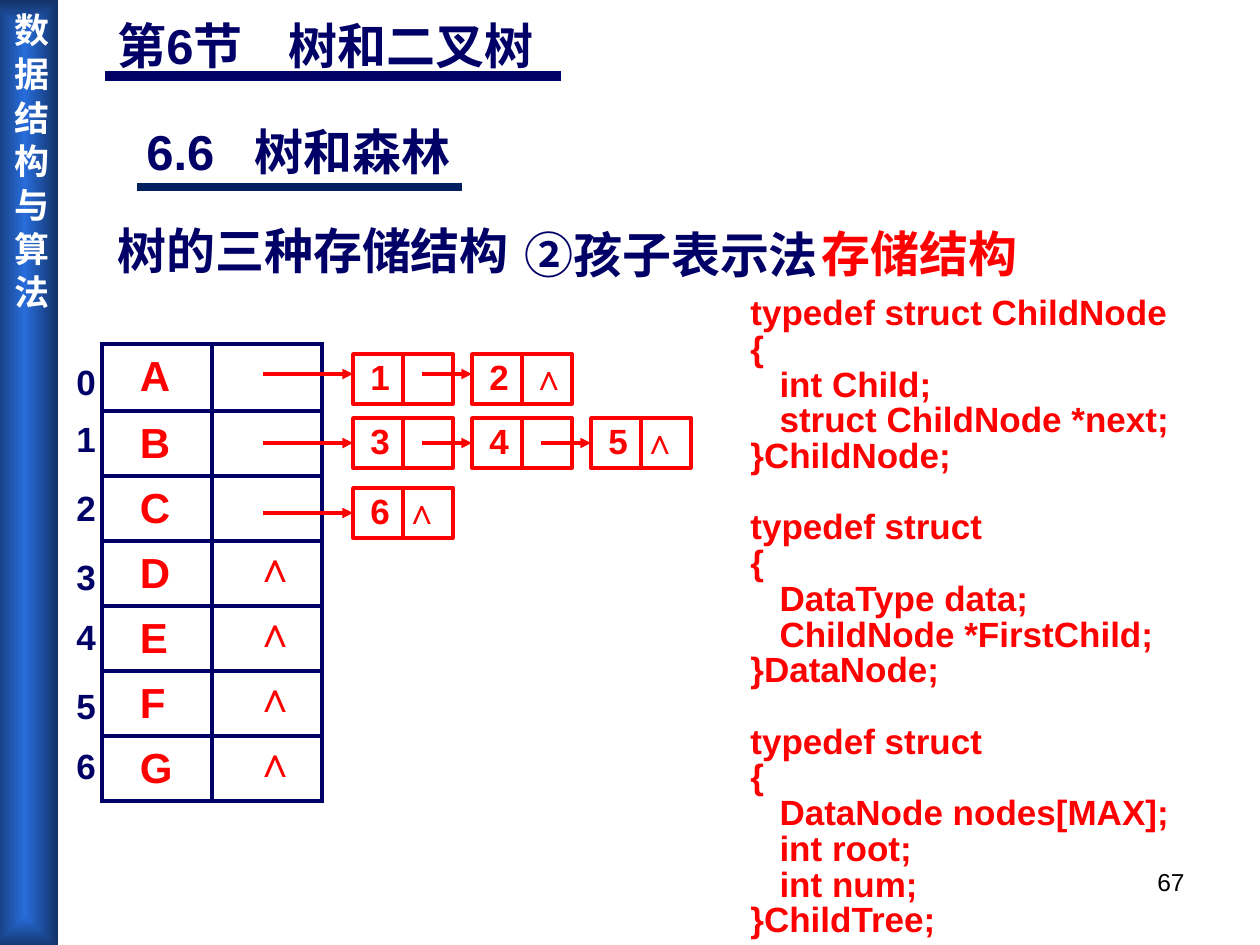
from lxml.etree import SubElement
from pptx import Presentation
from pptx.dml.color import RGBColor
from pptx.enum.shapes import MSO_CONNECTOR, MSO_SHAPE
from pptx.enum.text import PP_ALIGN
from pptx.oxml.ns import qn
from pptx.util import Emu, Pt

NAVY = RGBColor(0x00, 0x00, 0x66)
DARK_BLUE = RGBColor(0x00, 0x20, 0x60)
RED = RGBColor(0xFF, 0x00, 0x00)
BLACK = RGBColor(0x00, 0x00, 0x00)
WHITE = RGBColor(0xFF, 0xFF, 0xFF)
BAR_CENTRE = RGBColor(0x28, 0x6D, 0xDC)
BAR_EDGE = RGBColor(0x13, 0x32, 0x66)
LATIN, CJK = "Arial", "Noto Sans CJK SC"
NIL = "∧"

# text, left, top, width, height, colour, line spacing, tab stop
HEADINGS = [
    ("第6节\t树和二叉树", 105, 9, 466, 72, NAVY, 1.0, 171),
    ("6.6\t树和森林", 134, 115, 349, 72, NAVY, 1.0, 108),
    ("树的三种存储结构", 105, 214, 437, 72, NAVY, 1.0, None),
    ("②孩子表示法", 512, 204, 328, 87, NAVY, 1.25, None),
    ("存储结构", 809, 217, 230, 72, RED, 1.0, None),
]
STRUCTS = [
    ["typedef struct ChildNode", "{", "   int Child;",
     "   struct ChildNode *next;", "}ChildNode;"],
    ["typedef struct", "{", "   DataType data;",
     "   ChildNode *FirstChild;", "}DataNode;"],
    ["typedef struct", "{", "   DataNode nodes[MAX];",
     "   int root;", "   int num;", "}ChildTree;"],
]
CODE_PITCH = Pt(20.4)
NODES = "ABCDEFG"
LEAVES = "DEFG"
INDEX_TOPS = [354, 411, 480, 549, 609, 678, 738]
ARRAY_LEFT, ARRAY_TOP, COLUMN_W = 102, 344, 110
ROW_HEIGHTS = [67] + [65] * 6
# children, box top, arrow height, offset of the nil mark in the last box
CHAINS = [("12", 354, 374, 47), ("345", 418, 443, 39), ("6", 488, 513, 39)]
CHAIN_LEFT, CHAIN_STEP, BOX_W, BOX_H = 353, 119, 100, 50
POINTER_LEFT, POINTER_OFFSET = 263, 69


def px(length):
    return Emu(round(length * 914400 / 126))


def add_run(paragraph, text, size, color, bold=True, latin=LATIN):
    run = paragraph.add_run()
    run.text = text
    run.font.size = Pt(size)
    run.font.bold = bold
    run.font.color.rgb = color
    run.font.name = latin
    SubElement(run.font._element, qn("a:ea")).set("typeface", CJK)


def add_text_frame(slide, left, top, width, height):
    box = slide.shapes.add_textbox(px(left), px(top), px(width), px(height))
    box.text_frame.word_wrap = True
    return box.text_frame


def add_label(slide, text, left, top, width, height, size, color):
    frame = add_text_frame(slide, left, top, width, height)
    add_run(frame.paragraphs[0], text, size, color)


def add_line(slide, x1, y1, x2, y2, color, weight, arrow=False):
    line = slide.shapes.add_connector(
        MSO_CONNECTOR.STRAIGHT, px(x1), px(y1), px(x2), px(y2))
    line.line.color.rgb = color
    line.line.width = Pt(weight)
    if arrow:
        SubElement(line.line._get_or_add_ln(), qn("a:tailEnd")).set("type", "triangle")
    SubElement(line._element.spPr, qn("a:effectLst"))
    return line


def add_sidebar(slide):
    bar = slide.shapes.add_shape(MSO_SHAPE.RECTANGLE, px(-9), 0, px(67), px(949))
    bar.shadow.inherit = False
    bar.line.fill.background()
    bar.fill.gradient()
    for stop, color in zip(bar.fill.gradient_stops, (BAR_CENTRE, BAR_EDGE)):
        stop.color.rgb = color
    gradient = bar._element.spPr.find(qn("a:gradFill"))
    gradient.remove(gradient.find(qn("a:lin")))
    shade = SubElement(gradient, qn("a:path"), {"path": "rect"})
    SubElement(shade, qn("a:fillToRect"), dict.fromkeys("ltrb", "50000"))
    frame = bar.text_frame
    frame.margin_left = frame.margin_right = px(6)
    frame.margin_top = frame.margin_bottom = px(13)
    body = frame._txBody.bodyPr
    body.set("vert", "eaVert")
    body.set("anchor", "t")
    frame.paragraphs[0].alignment = PP_ALIGN.CENTER
    add_run(frame.paragraphs[0], "数 据 结 构 与 算 法", 20, WHITE, latin=CJK)


def add_heading(slide, text, left, top, width, height, color, spacing, tab):
    paragraph = add_text_frame(slide, left, top, width, height).paragraphs[0]
    paragraph.line_spacing = spacing
    if tab:
        tabs = SubElement(paragraph._p.get_or_add_pPr(), qn("a:tabLst"))
        SubElement(tabs, qn("a:tab"), {"pos": str(px(tab)), "algn": "l"})
    add_run(paragraph, text, 28, color)


def add_code(slide):
    frame = add_text_frame(slide, 738, 291, 460, 655)
    paragraph = None
    for struct in STRUCTS:
        for number, code in enumerate(struct):
            if paragraph is None:
                paragraph = frame.paragraphs[0]
            else:
                paragraph = frame.add_paragraph()
                if number == 0:
                    paragraph.space_before = CODE_PITCH
            paragraph.line_spacing = 0.85
            add_run(paragraph, code, 20, RED)


def style_cell(cell, text, margin_left, margin_top):
    cell.fill.background()
    cell.margin_left, cell.margin_top = px(margin_left), px(margin_top)
    cell.margin_right = cell.margin_bottom = 0
    if text:
        add_run(cell.text_frame.paragraphs[0], text, 24, RED)
    properties = cell._tc.get_or_add_tcPr()
    for position, side in enumerate(("a:lnL", "a:lnR", "a:lnT", "a:lnB")):
        border = properties.makeelement(qn(side), {"w": str(Pt(2.25))})
        fill = SubElement(border, qn("a:solidFill"))
        SubElement(fill, qn("a:srgbClr")).set("val", str(NAVY))
        properties.insert(position, border)


def add_node_array(slide):
    table = slide.shapes.add_table(
        len(NODES), 2, px(ARRAY_LEFT), px(ARRAY_TOP),
        px(2 * COLUMN_W), px(sum(ROW_HEIGHTS))).table
    table.first_row = table.horz_banding = False
    for column in table.columns:
        column.width = px(COLUMN_W)
    for row, height, node in zip(table.rows, ROW_HEIGHTS, NODES):
        row.height = px(height)
        style_cell(row.cells[0], node, 38, 10)
        style_cell(row.cells[1], NIL if node in LEAVES else "", 43, 4)
    for index, top in enumerate(INDEX_TOPS):
        add_label(slide, str(index), 64, top, 44, 55, 20, NAVY)


def add_chain(slide, children, top, arrow_y, nil_offset):
    start = POINTER_LEFT
    for position, child in enumerate(children):
        left = CHAIN_LEFT + position * CHAIN_STEP
        box = slide.shapes.add_shape(
            MSO_SHAPE.RECTANGLE, px(left), px(top), px(BOX_W), px(BOX_H))
        box.shadow.inherit = False
        box.fill.background()
        box.line.color.rgb = RED
        box.line.width = Pt(2)
        middle = left + BOX_W // 2
        add_line(slide, middle, top, middle, top + BOX_H, RED, 2)
        add_label(slide, child, left + 5, top - 5, 44, 55, 20, RED)
        pointer = add_line(slide, start, arrow_y, left, arrow_y, RED, 2, arrow=True)
        if arrow_y == top + BOX_H // 2:
            pointer.end_connect(box, 1)
        start = left + POINTER_OFFSET
    add_label(slide, NIL, left + nil_offset, top - 5, 43, 55, 20, RED)


def add_page_number(slide):
    paragraph = add_text_frame(slide, 903, 861, 294, 66).paragraphs[0]
    paragraph.alignment = PP_ALIGN.RIGHT
    add_run(paragraph, "67", 14, BLACK, bold=False)


def main():
    presentation = Presentation()
    presentation.slide_width, presentation.slide_height = px(1260), px(945)
    slide = presentation.slides.add_slide(presentation.slide_layouts[6])
    add_sidebar(slide)
    add_page_number(slide)
    add_line(slide, 105, 76, 561, 76, NAVY, 6)
    add_line(slide, 137, 187, 462, 187, DARK_BLUE, 4.25)
    for heading in HEADINGS:
        add_heading(slide, *heading)
    add_code(slide)
    add_node_array(slide)
    for chain in CHAINS:
        add_chain(slide, *chain)
    presentation.save("out.pptx")


if __name__ == "__main__":
    main()
